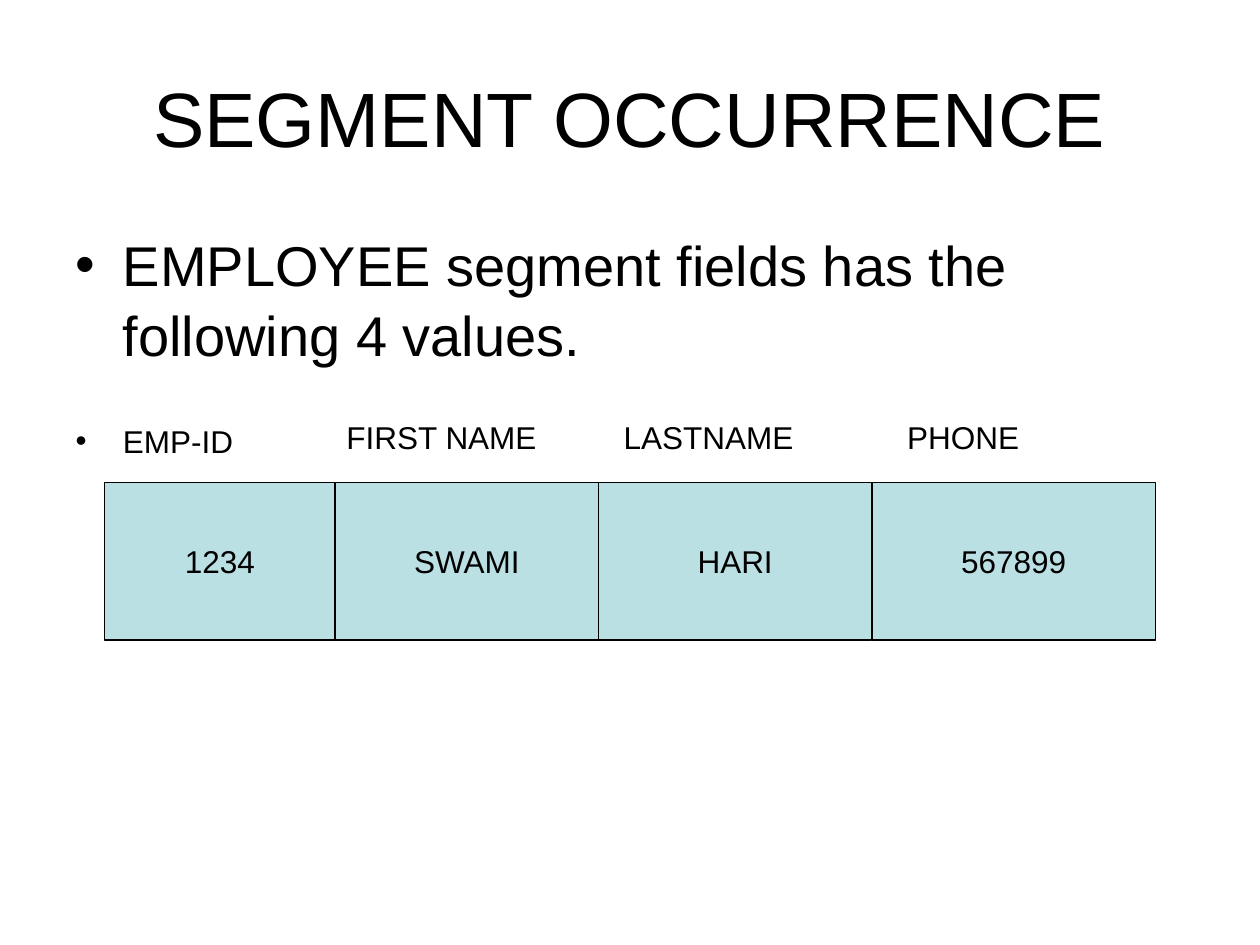
from dataclasses import dataclass

from pptx import Presentation
from pptx.dml.color import RGBColor
from pptx.enum.shapes import MSO_SHAPE
from pptx.enum.text import MSO_ANCHOR, MSO_AUTO_SIZE, PP_ALIGN
from pptx.util import Inches, Pt


@dataclass(frozen=True)
class Theme:
    font: str = "Arial"
    ink: RGBColor = RGBColor(0x00, 0x00, 0x00)
    cell: RGBColor = RGBColor(0xBB, 0xE0, 0xE3)
    title_size: float = 44
    body_size: float = 32
    label_size: float = 18
    line_width: float = 0.75


THEME = Theme()

# Heading, value, column width, heading's distance from the column's left edge.
# The first heading is a bullet in the body.
FIELDS = [
    ("EMP-ID", "1234", 1.83, 0),
    ("FIRST NAME", "SWAMI", 2.09, 0.09),
    ("LASTNAME", "HARI", 2.17, 0.2),
    ("PHONE", "567899", 2.25, 0.28),
]


def write_text(paragraph, text, *, size, align=PP_ALIGN.LEFT, before=0, spacing=None):
    paragraph.text = text
    paragraph.alignment = align
    paragraph.space_before = Pt(before)
    paragraph.line_spacing = spacing
    paragraph.font.name = THEME.font
    paragraph.font.size = Pt(size)
    paragraph.font.color.rgb = THEME.ink


def place(shape, left, top, width, height):
    shape.left, shape.top = Inches(left), Inches(top)
    shape.width, shape.height = Inches(width), Inches(height)
    shape.text_frame.auto_size = MSO_AUTO_SIZE.NONE


def add_title(slide, left, top, width, height):
    title = slide.shapes.title
    place(title, left, top, width, height)
    title.text_frame.vertical_anchor = MSO_ANCHOR.MIDDLE
    write_text(title.text_frame.paragraphs[0], "SEGMENT OCCURRENCE",
               size=THEME.title_size, align=PP_ALIGN.CENTER)


def add_body(slide, left, top, width, height):
    body = slide.placeholders[1]
    place(body, left, top, width, height)
    frame = body.text_frame
    write_text(frame.paragraphs[0], "EMPLOYEE segment fields has the following 4 values.",
               size=THEME.body_size, spacing=1.05)
    write_text(frame.add_paragraph(), FIELDS[0][0], size=THEME.label_size, before=31)


def add_heading(slide, text, left, top, width, height):
    box = slide.shapes.add_textbox(Inches(left), Inches(top), Inches(width), Inches(height))
    frame = box.text_frame
    frame.word_wrap = True
    frame.margin_left = frame.margin_right = frame.margin_top = frame.margin_bottom = 0
    write_text(frame.paragraphs[0], text, size=THEME.label_size)


def add_value(slide, text, left, top, width, height):
    cell = slide.shapes.add_shape(MSO_SHAPE.RECTANGLE, Inches(left), Inches(top),
                                  Inches(width), Inches(height))
    cell.shadow.inherit = False
    cell.fill.solid()
    cell.fill.fore_color.rgb = THEME.cell
    cell.line.color.rgb = THEME.ink
    cell.line.width = Pt(THEME.line_width)
    cell.text_frame.word_wrap = False
    cell.text_frame.vertical_anchor = MSO_ANCHOR.MIDDLE
    write_text(cell.text_frame.paragraphs[0], text,
               size=THEME.label_size, align=PP_ALIGN.CENTER)


def add_record(slide, left, top, height):
    """Draw the field values side by side, with their headings above."""
    for index, (heading, value, width, offset) in enumerate(FIELDS):
        if index:
            add_heading(slide, heading, left + offset, top - 0.51, width - offset, 0.3)
        add_value(slide, value, left, top, width, height)
        left += width


def main():
    presentation = Presentation()
    presentation.slide_width, presentation.slide_height = Inches(10), Inches(7.5)
    slide = presentation.slides.add_slide(presentation.slide_layouts[1])
    add_title(slide, 0.5, 0.3, 9, 1.25)
    add_body(slide, 0.5, 1.75, 9, 4.95)
    add_record(slide, 0.83, 3.83, 1.25)
    presentation.save("out.pptx")


if __name__ == "__main__":
    main()
